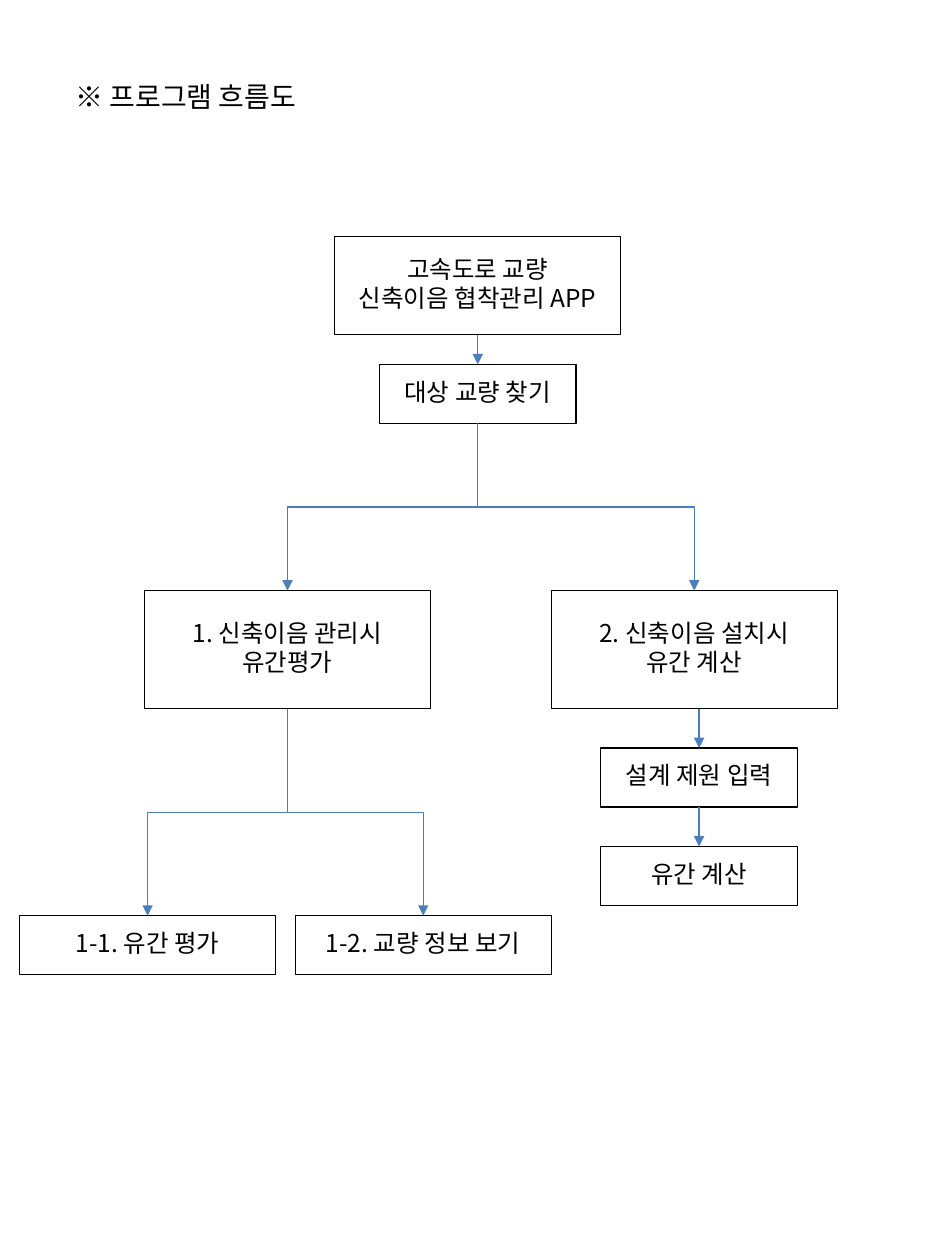
import pptx
import pptx.dml.color
import pptx.enum.shapes
import pptx.enum.text
import pptx.oxml.ns
import pptx.util
from lxml import etree

Pt = pptx.util.Pt
FONT = "Noto Sans CJK KR"
BLACK = "000000"
ARROW_BLUE = "4B7EBC"
HANGING_INDENT = 27
TOP_SITE, BOTTOM_SITE = 0, 2

WIDE, MEDIUM, NARROW = 163.5, 146.25, 112.5
SINGLE_HEIGHT = 33.75


def rgb(hex_color):
    return pptx.dml.color.RGBColor.from_string(hex_color)


def add_child(parent, tag, **attributes):
    return etree.SubElement(parent, pptx.oxml.ns.qn(tag), attributes)


def write_text(frame, text, size=14, color=BLACK, align=pptx.enum.text.PP_ALIGN.CENTER,
               anchor=pptx.enum.text.MSO_ANCHOR.MIDDLE, wrap=False):
    """Fill a frame with one paragraph per line of text, without bullets."""
    frame.text = text
    frame.word_wrap = wrap
    frame.vertical_anchor = anchor
    for paragraph in frame.paragraphs:
        paragraph.alignment = align
        paragraph.space_before = Pt(size * 0.2)
        paragraph.line_spacing = 0.82
        properties = paragraph._p.get_or_add_pPr()
        properties.set("marL", str(Pt(HANGING_INDENT)))
        properties.set("indent", str(-Pt(HANGING_INDENT)))
        add_child(properties, "a:buNone")
        for run in paragraph.runs:
            run.font.size = Pt(size)
            run.font.name = FONT
            run.font.color.rgb = rgb(color)
            add_child(run._r.get_or_add_rPr(), "a:ea", typeface=FONT)


def add_heading(slide, text):
    heading = slide.placeholders[1]
    heading.left, heading.top = Pt(36), Pt(45)
    heading.width, heading.height = Pt(470), Pt(618.75)
    write_text(heading.text_frame, text, size=16, wrap=True,
               align=pptx.enum.text.PP_ALIGN.LEFT, anchor=pptx.enum.text.MSO_ANCHOR.TOP)


def add_step(slide, text, left, top, width, height=SINGLE_HEIGHT):
    step = slide.shapes.add_shape(pptx.enum.shapes.MSO_SHAPE.RECTANGLE,
                                  Pt(left), Pt(top), Pt(width), Pt(height))
    step.shadow.inherit = False
    step.fill.background()
    step.line.color.rgb = rgb(BLACK)
    step.line.width = Pt(0.75)
    write_text(step.text_frame, text)
    return step


def center_x(step):
    return step.left + step.width // 2


def style_arrow(arrow):
    arrow.line.color.rgb = rgb(ARROW_BLUE)
    arrow.line.width = Pt(0.75)
    add_child(arrow.line._get_or_add_ln(), "a:tailEnd", type="triangle")
    add_child(arrow._element.spPr, "a:effectLst")


def add_down_arrow(slide, source, target):
    """Drop straight from the source's bottom edge to the target's top centre."""
    x = center_x(target)
    arrow = slide.shapes.add_connector(pptx.enum.shapes.MSO_CONNECTOR.STRAIGHT,
                                       x, source.top + source.height, x, target.top)
    arrow.end_connect(target, TOP_SITE)
    style_arrow(arrow)


def add_branch(slide, source, target):
    """Elbow arrow that leaves downwards; the elbow is turned a quarter to do so."""
    start_x, start_y = center_x(source), source.top + source.height
    end_x, end_y = center_x(target), target.top
    branch = slide.shapes.add_connector(pptx.enum.shapes.MSO_CONNECTOR.ELBOW,
                                        start_x, start_y, end_x, end_y)
    branch.begin_connect(source, BOTTOM_SITE)
    branch.end_connect(target, TOP_SITE)
    drop, spread = end_y - start_y, abs(end_x - start_x)
    branch.left = (start_x + end_x - drop) // 2
    branch.top = (start_y + end_y - spread) // 2
    branch.width, branch.height = drop, spread
    goes_right = end_x > start_x
    transform = branch._element.spPr.xfrm
    transform.set("rot", str((270 if goes_right else 90) * 60000))
    transform.set("flipH", "1" if goes_right else "0")
    style_arrow(branch)


def main():
    deck = pptx.Presentation()
    deck.slide_width, deck.slide_height = Pt(540), Pt(720)
    slide = deck.slides.add_slide(deck.slide_layouts[1])
    title = slide.shapes.title._element
    title.getparent().remove(title)

    add_heading(slide, "※ 프로그램 흐름도")

    app = add_step(slide, "고속도로 교량\n신축이음 협착관리 APP", 191.25, 135, WIDE, 56.25)
    find_bridge = add_step(slide, "대상 교량 찾기", 216.75, 208.25, NARROW)
    manage = add_step(slide, "1. 신축이음 관리시\n유간평가", 82.5, 337.5, WIDE, 67.5)
    install = add_step(slide, "2. 신축이음 설치시\n유간 계산", 315, 337.5, WIDE, 67.5)
    enter_design = add_step(slide, "설계 제원 입력", 343.25, 427.5, NARROW)
    calculate_gap = add_step(slide, "유간 계산", 343.25, 483.75, NARROW)
    assess_gap = add_step(slide, "1-1. 유간 평가", 11.25, 523.25, MEDIUM)
    view_bridge = add_step(slide, "1-2. 교량 정보 보기", 168.75, 523.25, MEDIUM)

    for source, target in ((app, find_bridge), (install, enter_design),
                           (enter_design, calculate_gap)):
        add_down_arrow(slide, source, target)
    for source, target in ((find_bridge, install), (find_bridge, manage),
                           (manage, assess_gap), (manage, view_bridge)):
        add_branch(slide, source, target)

    deck.save("out.pptx")


if __name__ == "__main__":
    main()
